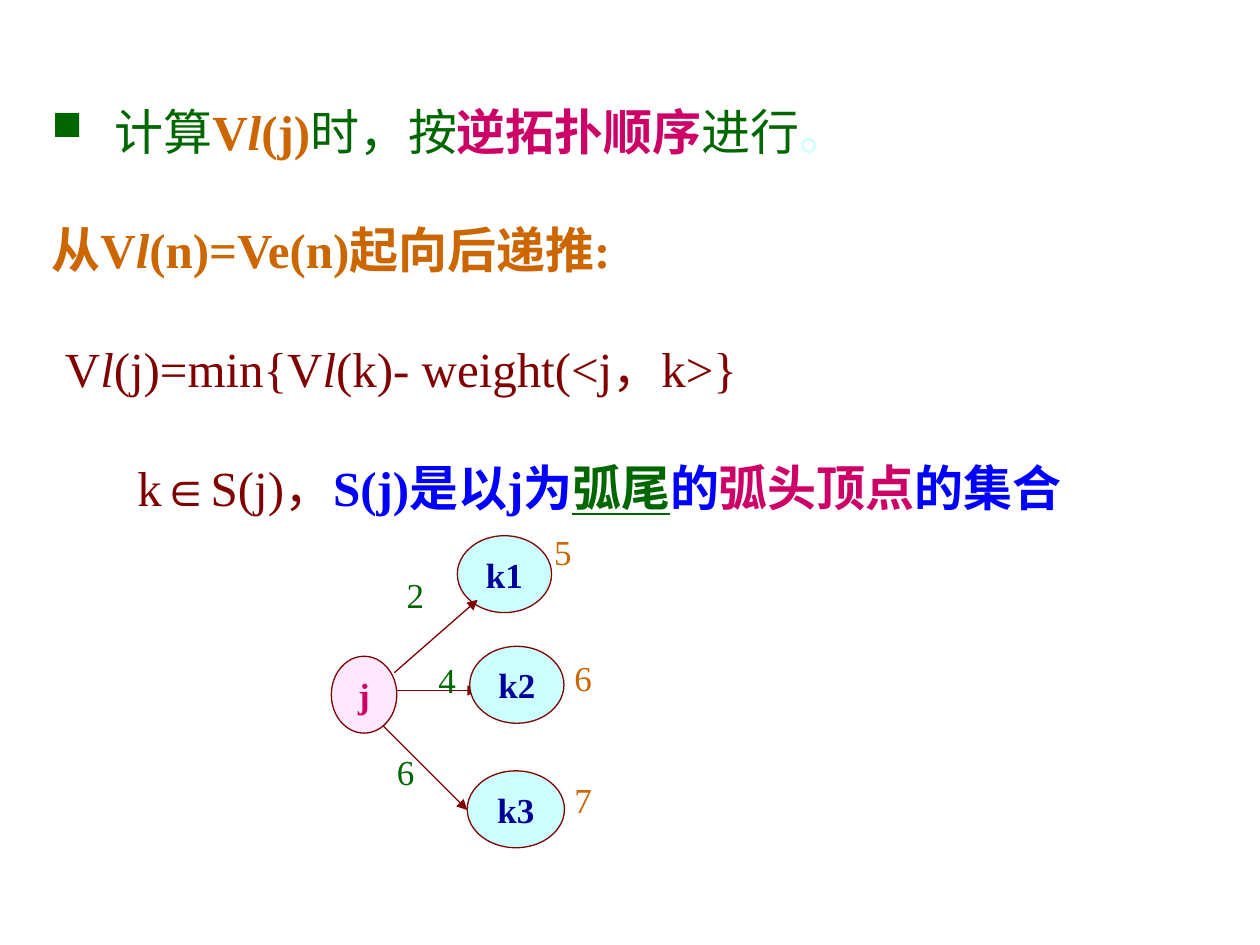
from pptx import Presentation
from pptx.util import Cm, Pt
from pptx.dml.color import RGBColor as RGB
from pptx.enum.shapes import MSO_SHAPE as Kind, MSO_CONNECTOR as Link
from pptx.enum.text import PP_ALIGN as Align, MSO_ANCHOR as Anchor
from pptx.oxml.ns import qn
from lxml.etree import SubElement as Sub

THEME = {
    "font": "Times New Roman", "body": 28, "small": 20,
    "green": "006600", "orange": "CC6600", "pink": "CC0066", "pale": "CCFFFF",
    "brown": "800000", "blue": "0000FF", "navy": "000099", "rose": "FFE7FF",
}

# indent in cm, bullet, runs of (text, colour, style letters)
LINES = [
    (1.27, "■", [
        ("计算", "green", ""), ("V", "orange", "b"), ("l", "orange", "bi"),
        ("(j)", "orange", "b"), ("时，按", "green", ""),
        ("逆拓扑顺序", "pink", "b"), ("进行", "green", ""), ("。", "pale", "")]),
    (0, None, [
        ("从V", "orange", "b"), ("l", "orange", "bi"),
        ("(n)=Ve(n)起向后递推:", "orange", "b")]),
    (0.27, None, [
        ("V", "brown", ""), ("l", "brown", "i"), ("(j)=min{V", "brown", ""),
        ("l", "brown", "i"), ("(k)- weight(<j，k>}", "brown", "")]),
    (1.73, None, [
        ("k∈S(j)，", "brown", ""), ("S(j)是以j为", "blue", "b"),
        ("弧尾", "green", "bu"), ("的", "blue", "b"),
        ("弧头顶点", "pink", "b"), ("的集合", "blue", "b")]),
]
BODY = (0.79, 1.32, 23.85, 9.22)

# name, left, top, width, fill, ink
FIRST = ("k1", 9.22, 10.8, 1.9, "pale", "navy")
NODES = [
    ("k3", 9.42, 15.54, 1.96, "pale", "navy"),
    ("k2", 9.47, 13.03, 1.9, "pale", "navy"),
    ("j", 6.68, 13.23, 1.32, "rose", "pink"),
]
TALL = 1.55
ARCS = [
    (7.95, 13.56, 9.63, 12.09),
    (7.49, 13.92, 9.63, 13.92),
    (7.72, 14.63, 9.42, 16.33),
]
COSTS = [("2", 7.95, 11.43), ("6", 7.75, 15.01), ("4", 8.59, 13.16)]
TIMES = [("5", 10.92, 10.57), ("6", 11.33, 13.11), ("7", 11.33, 15.57)]
TAG = (1.47, 1.12)


def ink(name):
    return RGB.from_string(THEME[name])


def style(font, size, hue=None):
    font.name = THEME["font"]
    font.size = Pt(THEME[size])
    if hue:
        font.color.rgb = ink(hue)


def stroke(line):
    line.color.rgb = ink("brown")
    line.width = Pt(0.75)


def add_box(slide, place):
    frame = slide.shapes.add_textbox(*map(Cm, place)).text_frame
    frame.word_wrap = True
    return frame


def add_node(slide, name, left, top, wide, fill, hue):
    node = slide.shapes.add_shape(Kind.OVAL, *map(Cm, (left, top, wide, TALL)))
    node.shadow.inherit = False
    node.fill.solid()
    node.fill.fore_color.rgb = ink(fill)
    stroke(node.line)
    frame = node.text_frame
    frame.vertical_anchor = Anchor.MIDDLE
    para = frame.paragraphs[0]
    para.text = name
    para.alignment = Align.CENTER
    style(para.font, "small", hue)
    para.font.bold = True


def add_arc(slide, ends):
    arc = slide.shapes.add_connector(Link.STRAIGHT, *map(Cm, ends))
    stroke(arc.line)
    Sub(arc.line._get_or_add_ln(), qn("a:tailEnd"), type="triangle")
    Sub(arc._element.spPr, qn("a:effectLst"))


def add_tag(slide, text, left, top, hue):
    para = add_box(slide, (left, top, *TAG)).paragraphs[0]
    para.text = text
    style(para.font, "small", hue)


def add_mark(para, mark):
    props = para._p.get_or_add_pPr()
    Sub(Sub(props, qn("a:buClr")), qn("a:srgbClr"), val=THEME["green"])
    Sub(props, qn("a:buSzPct"), val="85000")
    Sub(props, qn("a:buChar"), char=mark)


def add_body(slide):
    frame = add_box(slide, BODY)
    for num, (left, mark, runs) in enumerate(LINES):
        para = frame.add_paragraph() if num else frame.paragraphs[0]
        props = para._p.get_or_add_pPr()
        props.set("marL", str(Cm(left)))
        props.set("indent", str(-Cm(left) if mark else 0))
        if mark:
            add_mark(para, mark)
        para.line_spacing = 1.5
        if num:
            para.space_before = Pt(17.5)
        style(para.font, "body")
        for text, hue, marks in runs:
            run = para.add_run()
            run.text = text
            run.font.color.rgb = ink(hue)
            run.font.bold = "b" in marks
            run.font.italic = "i" in marks
            run.font.underline = "u" in marks


def main():
    deck = Presentation()
    deck.slide_width, deck.slide_height = Cm(25.4), Cm(19.05)
    slide = deck.slides.add_slide(deck.slide_layouts[6])
    add_node(slide, *FIRST)
    for ends in ARCS:
        add_arc(slide, ends)
    for node in NODES:
        add_node(slide, *node)
    add_body(slide)
    for tags, hue in ((COSTS, "green"), (TIMES, "orange")):
        for tag in tags:
            add_tag(slide, *tag, hue)
    deck.save("out.pptx")


if __name__ == "__main__":
    main()
